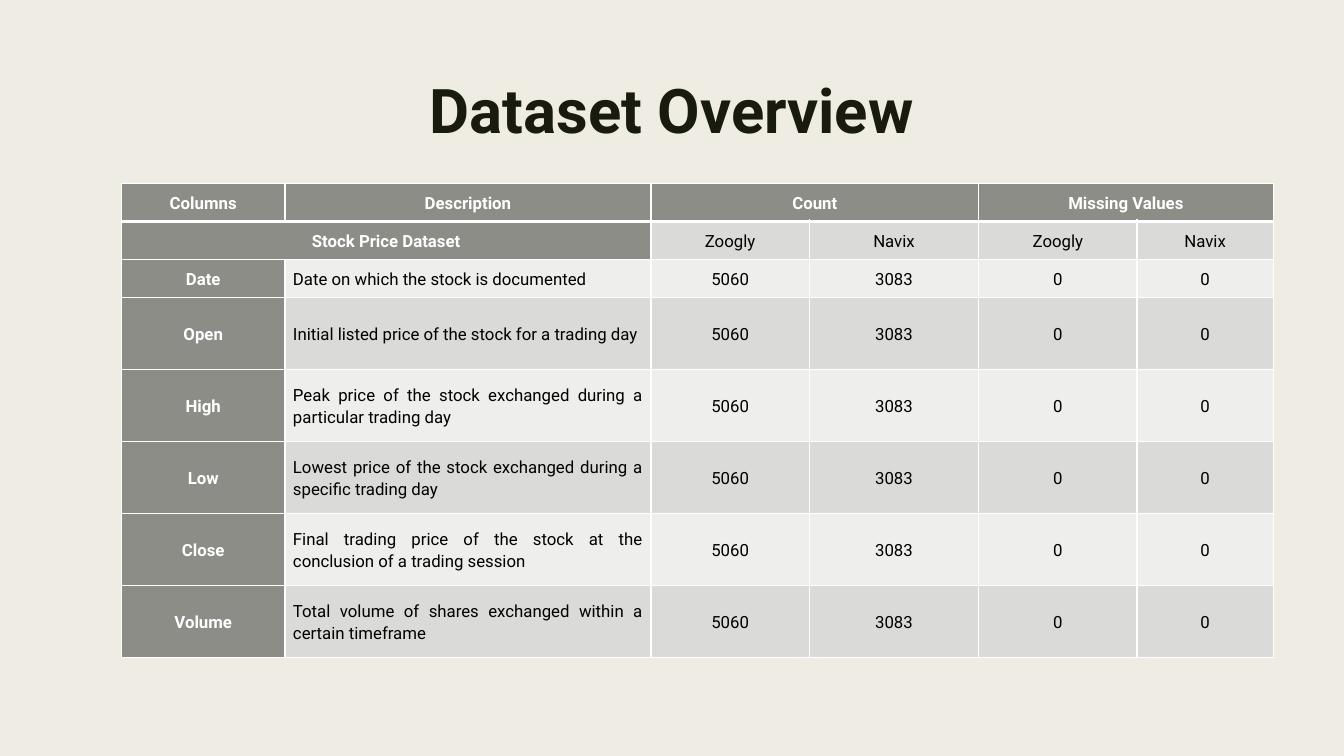
from dataclasses import dataclass

from lxml.etree import SubElement
from pptx import Presentation
from pptx.dml.color import RGBColor
from pptx.enum.shapes import MSO_SHAPE
from pptx.enum.text import MSO_ANCHOR, PP_ALIGN
from pptx.oxml.ns import qn
from pptx.slide import Slide
from pptx.table import Table, _Cell
from pptx.text.text import TextFrame
from pptx.util import Inches, Pt


@dataclass(frozen=True)
class Theme:
    font: str = "Roboto"
    paper: str = "EFEDE3"
    ink: str = "191B0E"
    head: str = "8C8D86"
    dark: str = "DADBD9"
    light: str = "EEEEED"
    white: str = "FFFFFF"
    black: str = "000000"
    title: int = 44
    body: int = 12
    thin: int = 1
    thick: int = 3


@dataclass(frozen=True)
class Box:
    left: float
    top: float
    width: float
    height: float

    def place(self) -> tuple[int, int, int, int]:
        return (share(self.left, WIDTH), share(self.top, HEIGHT),
                share(self.width, WIDTH), share(self.height, HEIGHT))


@dataclass(frozen=True)
class Field:
    name: str
    note: str
    counts: tuple[str, str] = ("5060", "3083")
    gaps: tuple[str, str] = ("0", "0")

    def texts(self) -> tuple[str, ...]:
        return (self.name, self.note, *self.counts, *self.gaps)


@dataclass(frozen=True)
class Span:
    row: int
    first: int
    last: int


THEME = Theme()
WIDTH, HEIGHT = Inches(13.33), Inches(7.5)
PAPER = Box(0, 0, 100, 100)
TITLE = Box(5.25, 10, 89.5, 21.6)
GRID = Box(9.04, 24.27, 85.7, 62.7)
COLS = (14.19, 31.78, 13.75, 14.71, 13.75, 11.82)
SHORT, TALL = 8, 15.2
ROWS = (SHORT,) * 3 + (TALL,) * 5
STOCKS = ("Zoogly", "Navix")
SPANS = (Span(0, 2, 3), Span(0, 4, 5), Span(1, 0, 1))
FIELDS = (
    Field("Columns", "Description", ("Count", ""), ("Missing Values", "")),
    Field("Stock Price Dataset", "", STOCKS, STOCKS),
    Field("Date", "Date on which the stock is documented"),
    Field("Open", "Initial listed price of the stock for a trading day"),
    Field("High", "Peak price of the stock exchanged during a particular trading day"),
    Field("Low", "Lowest price of the stock exchanged during a specific trading day"),
    Field("Close", "Final trading price of the stock at the conclusion of a trading session"),
    Field("Volume", "Total volume of shares exchanged within a certain timeframe"),
)


def share(part: float, whole: int) -> int:
    return round(whole * part / 100)


def write(frame: TextFrame, text: str, size: int, color: str, bold: bool,
          align: PP_ALIGN, line: float, after: int = 0) -> None:
    frame.text = text
    para = frame.paragraphs[0]
    para.alignment = align
    para.line_spacing = line
    para.space_after = Pt(after)
    for run in para.runs:
        run.font.name = THEME.font
        run.font.size = Pt(size)
        run.font.bold = bold
        run.font.color.rgb = RGBColor.from_string(color)


def edge(cell: _Cell, row: int) -> None:
    props = cell._tc.get_or_add_tcPr()
    heavy = {0: "B", 1: "T"}.get(row)
    for side in "LRTB":
        size = THEME.thick if side == heavy else THEME.thin
        line = SubElement(props, qn(f"a:ln{side}"), w=str(Pt(size)))
        fill = SubElement(line, qn("a:solidFill"))
        SubElement(fill, qn("a:srgbClr"), val=THEME.white)


def style(cell: _Cell, row: int, col: int, text: str) -> None:
    head = row == 0 or col == 0 or (row, col) == (1, 1)
    band = THEME.dark if row % 2 else THEME.light
    edge(cell, row)
    cell.fill.solid()
    cell.fill.fore_color.rgb = RGBColor.from_string(THEME.head if head else band)
    cell.vertical_anchor = MSO_ANCHOR.MIDDLE
    cell.margin_left = cell.margin_right = Inches(0.08)
    cell.margin_top = cell.margin_bottom = 0
    align = PP_ALIGN.JUSTIFY if col == 1 and not head else PP_ALIGN.CENTER
    color = THEME.white if head else THEME.black
    write(cell.text_frame, text, THEME.body, color, head, align, 1.15, 8)


def size(table: Table) -> None:
    for col, part in zip(table.columns, COLS):
        col.width = share(part, share(GRID.width, WIDTH))
    for row, part in zip(table.rows, ROWS):
        row.height = share(part, share(GRID.height, HEIGHT))


def draw_table(slide: Slide) -> None:
    table = slide.shapes.add_table(len(ROWS), len(COLS), *GRID.place()).table
    size(table)
    for row, field in enumerate(FIELDS):
        for col, text in enumerate(field.texts()):
            style(table.cell(row, col), row, col, text)
    for span in SPANS:
        table.cell(span.row, span.first).merge(table.cell(span.row, span.last))


def draw_title(slide: Slide) -> None:
    frame = slide.shapes.add_textbox(*TITLE.place()).text_frame
    frame.word_wrap = True
    frame.vertical_anchor = MSO_ANCHOR.TOP
    write(frame, "Dataset Overview", THEME.title, THEME.ink, True,
          PP_ALIGN.CENTER, 0.89)


def draw_paper(slide: Slide) -> None:
    sheet = slide.shapes.add_shape(MSO_SHAPE.RECTANGLE, *PAPER.place())
    sheet.shadow.inherit = False
    sheet.line.fill.background()
    for fill in (slide.background.fill, sheet.fill):
        fill.solid()
        fill.fore_color.rgb = RGBColor.from_string(THEME.paper)


def main() -> None:
    deck = Presentation()
    deck.slide_width, deck.slide_height = WIDTH, HEIGHT
    slide = deck.slides.add_slide(deck.slide_layouts[6])
    draw_paper(slide)
    draw_title(slide)
    draw_table(slide)
    deck.save("out.pptx")


if __name__ == "__main__":
    main()
